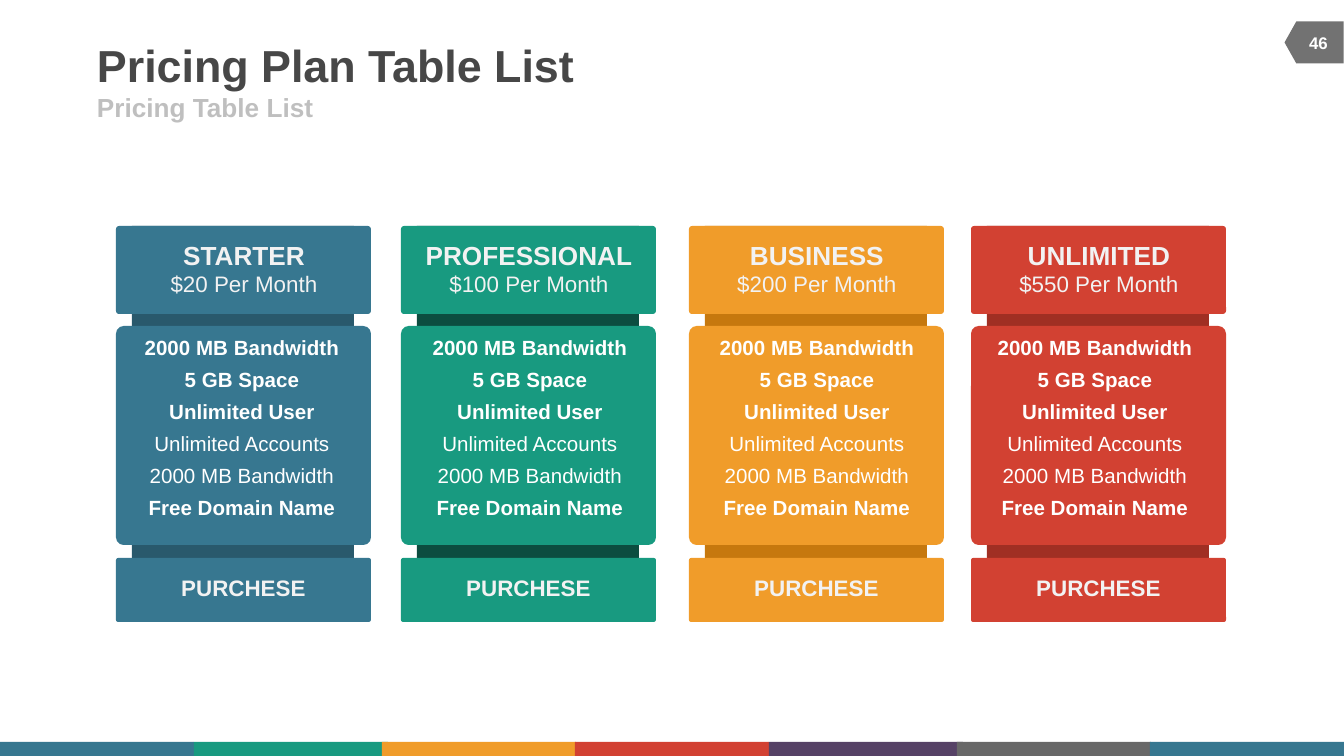
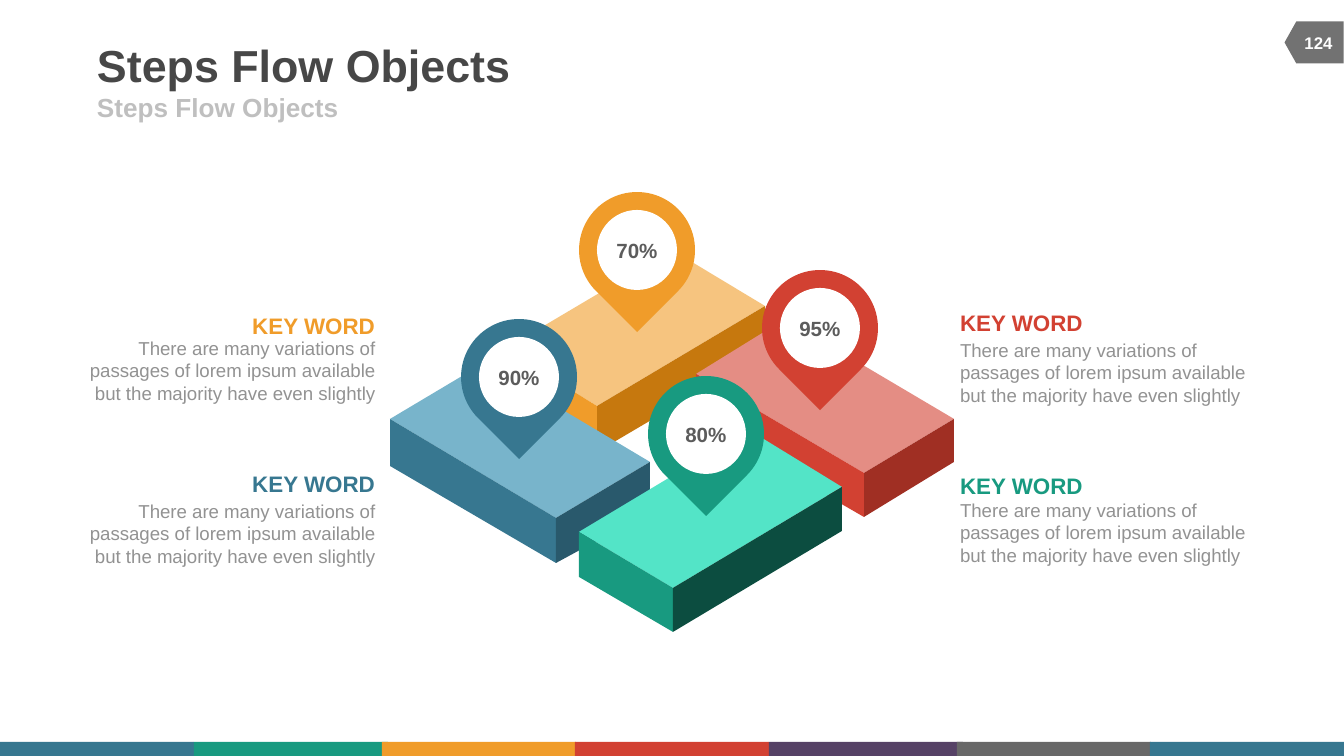
from pptx import Presentation
from pptx.dml.color import RGBColor as RGB
from pptx.enum.shapes import MSO_SHAPE as SHAPE
from pptx.enum.text import MSO_ANCHOR as ANCHOR, PP_ALIGN as ALIGN
from pptx.util import Pt

PX = 914400 / 134.4
HUES = {
    "blue": "377790", "green": "189A80", "orange": "F09C2A", "red": "D24132",
    "purple": "564266", "gray": "686868", "tag": "727272",
    "dark blue": "29596C", "dark green": "0C4D40",
    "dark orange": "C6780E", "dark red": "A02F23",
    "light blue": "78B4CB", "light green": "53E4C7",
    "light orange": "F6C47F", "light red": "E48D84",
    "title": "474747", "sub": "BFBFBF", "pale": "F2F2F2", "white": "FFFFFF",
    "value": "5C5C5C", "body": "929292",
}


def put(slide, kind, box, hue=None):
    box = [round(v * PX) for v in box]
    if kind is None:
        return slide.shapes.add_textbox(*box)
    shape = slide.shapes.add_shape(kind, *box)
    shape.shadow.inherit = False
    shape.fill.solid()
    shape.fill.fore_color.rgb = RGB.from_string(HUES[hue])
    shape.line.fill.background()
    return shape


def write(shape, lines, hue, align=ALIGN.LEFT, anchor=ANCHOR.MIDDLE,
          wrap=True, inset=(0, 0), before=0):
    frame = shape.text_frame
    frame.word_wrap = wrap
    frame.vertical_anchor = anchor
    frame.margin_left = frame.margin_right = Pt(inset[0])
    frame.margin_top = frame.margin_bottom = Pt(inset[1])
    frame.text = "\n".join(text for text, size, bold in lines)
    for para, (text, size, bold) in zip(frame.paragraphs, lines):
        para.alignment = align
        para.space_before = Pt(before)
        font = para.runs[0].font
        font.name = "Arial"
        font.size = Pt(size)
        font.bold = bold
        font.color.rgb = RGB.from_string(HUES[hue])


deck = Presentation()
deck.slide_width = round(1344 * PX)
deck.slide_height = round(756 * PX)
layout = deck.slide_layouts[5]

pages = [
    ("Pricing Plan Table List", "Pricing Table List", "46"),
    ("Steps Flow Objects", "Steps Flow Objects", "124"),
]
bands = [(0, "blue"), (194, "green"), (382, "orange"), (575, "red"),
         (769, "purple"), (957, "gray"), (1150, "blue")]

for head, sub, num in pages:
    slide = deck.slides.add_slide(layout)
    for left, hue in bands:
        put(slide, SHAPE.RECTANGLE, (left, 742, 194, 14), hue)
    tag = put(slide, SHAPE.FLOWCHART_OFFPAGE_CONNECTOR, (1293, 13, 42, 59), "tag")
    tag.rotation = 90
    title = slide.shapes.title
    title.left, title.top = round(97 * PX), round(39 * PX)
    title.width, title.height = round(829 * PX), round(52 * PX)
    write(title, [(head, 24, True)], "title")
    write(put(slide, None, (97, 92, 605, 30)), [(sub, 14, True)], "sub")
    write(put(slide, None, (1290, 23, 57, 40)), [(num, 9, True)], "white",
          ALIGN.CENTER, inset=(7.2, 3.6))

pricing, steps = deck.slides

plans = [
    (116, 125, 148, "blue", "STARTER", "$20 Per Month"),
    (401, 413, 208, "green", "PROFESSIONAL", "$100 Per Month"),
    (689, 700, 160, "orange", "BUSINESS", "$200 Per Month"),
    (971, 978, 160, "red", "UNLIMITED", "$550 Per Month"),
]
perks = [
    ("2000 MB Bandwidth", 11, True),
    ("5 GB Space", 11, True),
    ("Unlimited User", 11, True),
    ("Unlimited Accounts", 11, False),
    ("2000 MB Bandwidth", 11, False),
    ("Free Domain Name", 11, True),
]
for left, inner, wide, hue, name, price in plans:
    put(pricing, SHAPE.RECTANGLE, (left + 16, 226, 222, 396), "dark " + hue)
    for top, high in [(226, 88), (326, 219), (558, 64)]:
        card = put(pricing, SHAPE.ROUNDED_RECTANGLE, (left, top, 255, high), hue)
        card.adjustments[0] = 0.035
    mid = left + 128
    write(put(pricing, None, (mid - wide // 2, 239, wide, 59)),
          [(name, 14, True), (price, 12, False)], "pale",
          ALIGN.CENTER, ANCHOR.TOP, False)
    write(put(pricing, None, (mid - 63, 574, 125, 27)),
          [("PURCHESE", 12, True)], "pale", ALIGN.CENTER, ANCHOR.TOP, False)
    write(put(pricing, None, (inner, 328, 234, 200)), perks, "white",
          ALIGN.CENTER, ANCHOR.TOP, inset=(7.2, 3.6), before=4)

blocks = [
    ("orange", (505, 349), (672, 250), (765, 306), (597, 406), (47, 46, 47),
     ("", "dark ")),
    ("red", (696, 374), (785, 319), (954, 419), (864, 473), (46, 44, 43),
     ("", "dark ")),
    ("blue", (390, 419), (484, 363), (650, 462), (556, 518), (47, 45, 50),
     ("", "dark ")),
    ("green", (579, 532), (749, 430), (842, 487), (673, 588), (45, 44, 44),
     ("", "dark ")),
]
for hue, west, north, east, south, drops, tones in blocks:
    low_w, low_s, low_e = [(x, y + drop) for (x, y), drop
                           in zip((west, south, east), drops)]
    faces = [
        ("light ", [west, north, east, south]),
        (tones[0], [west, south, low_s, low_w]),
        (tones[1], [south, east, low_e, low_s]),
    ]
    for tone, points in faces:
        path = steps.shapes.build_freeform(*points[0], scale=PX)
        path.add_line_segments(points[1:], close=True)
        face = path.convert_to_shape()
        face.shadow.inherit = False
        face.fill.solid()
        face.fill.fore_color.rgb = RGB.from_string(HUES[tone + hue])
        face.line.fill.background()

pins = [(461, 319, "blue", "90%"), (648, 376, "green", "80%"),
        (579, 192, "orange", "70%"), (762, 270, "red", "95%")]
for left, top, hue, share in pins:
    pin = put(steps, SHAPE.TEAR, (left, top, 116, 116), hue)
    pin.rotation = 135
    disc = put(steps, SHAPE.OVAL, (left + 18, top + 18, 80, 80), "white")
    write(disc, [(share, 11, True)], "value", ALIGN.CENTER)

blurb = ("There are many variations of passages of lorem ipsum available "
         "but the majority have even slightly")
notes = [("green", 472, 499, ALIGN.LEFT), ("red", 309, 339, ALIGN.LEFT),
         ("blue", 470, 500, ALIGN.RIGHT), ("orange", 312, 337, ALIGN.RIGHT)]
for hue, top, low, align in notes:
    for y, wide, high, line, tint in [
        (top, 124, 27, ("KEY WORD", 12, True), hue),
        (low, 286, 67, (blurb, 10, False), "body"),
    ]:
        left = 960 if align == ALIGN.LEFT else 375 - wide
        write(put(steps, None, (left, y, wide, high)), [line], tint, align)

deck.save("out.pptx")
